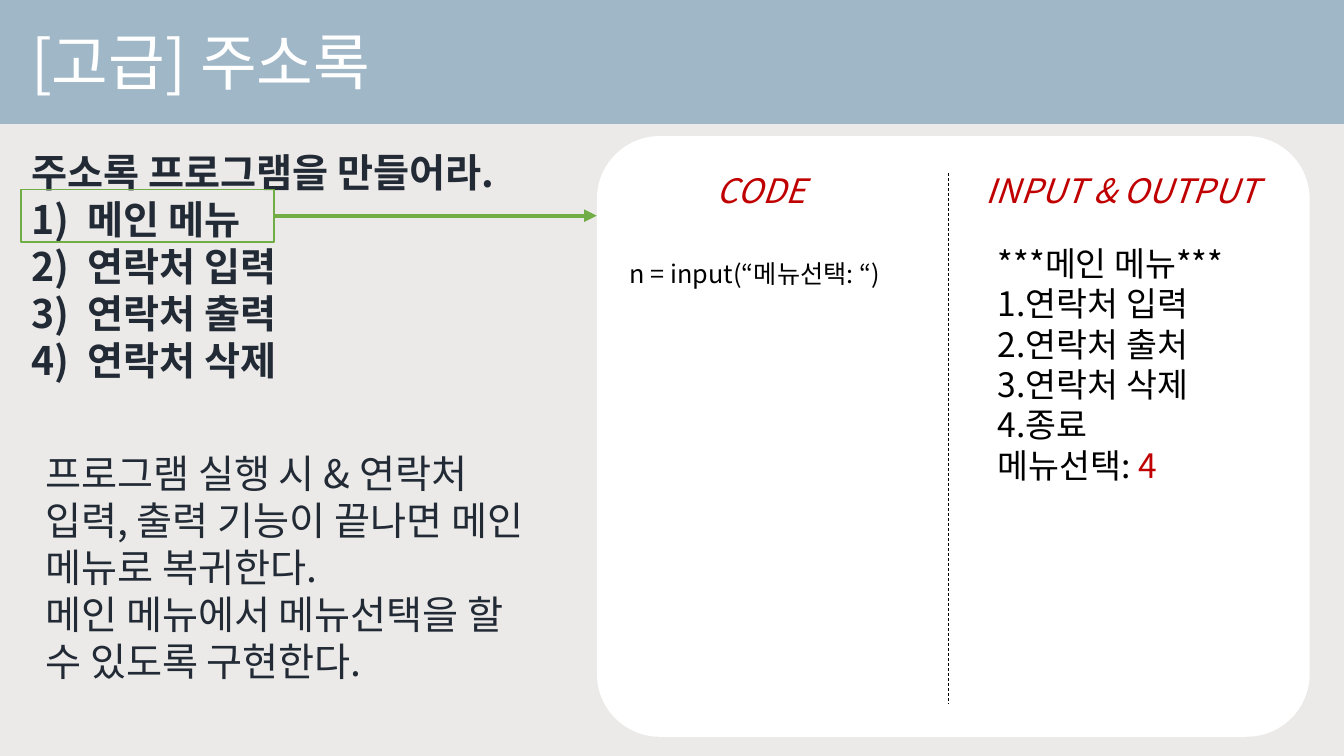
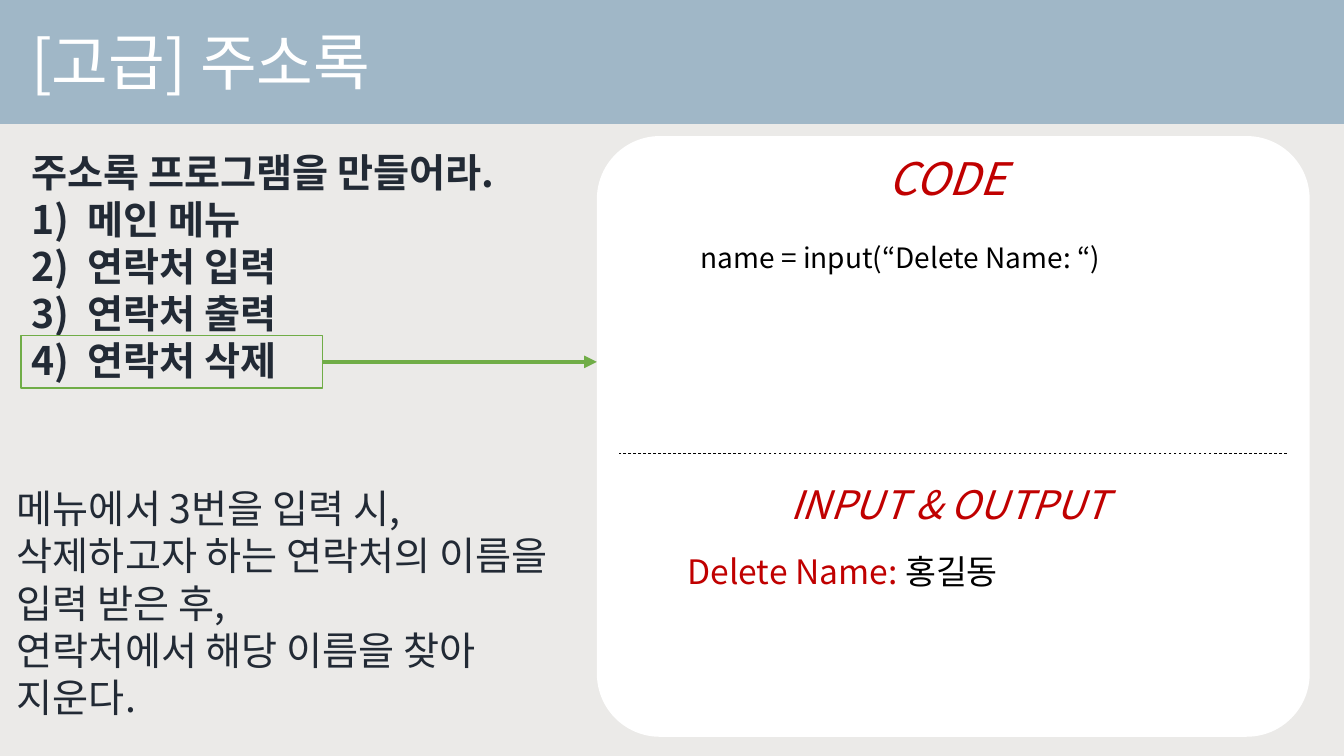
"""Build two slides of an address book coding exercise."""
from dataclasses import dataclass

from lxml import etree
from pptx import Presentation
from pptx.dml.color import RGBColor
from pptx.enum import dml, shapes, text
from pptx.oxml import ns
from pptx.util import Inches, Pt

FONT = "Noto Sans CJK KR"
HUES = {
    "back": "EBEAE8",
    "band": "A0B7C7",
    "white": "FFFFFF",
    "ink": "222A35",
    "black": "000000",
    "red": "C00000",
    "green": "70AD47",
}
PANEL = (5.92, 1.35, 7.07, 5.96)


@dataclass(frozen=True)
class Run:
    text: str
    hue: str


@dataclass(frozen=True)
class Para:
    runs: tuple[Run, ...]
    num: str = ""
    hang: float = 0


@dataclass(frozen=True)
class Note:
    at: tuple[float, float, float, float]
    paras: tuple[Para, ...]
    size: int
    bold: bool = False
    slant: bool = False
    wrap: bool = True
    space: float | None = None


@dataclass(frozen=True)
class Page:
    mark: tuple[float, float, float, float]
    split: tuple[float, float, float, float]
    notes: tuple[Note, ...]


def plain(hue: str, *lines: str) -> tuple[Para, ...]:
    """Make one single-colour paragraph of each line."""
    return tuple(Para((Run(line, hue),)) for line in lines)


def count(hue: str, num: str, hang: float, *lines: str) -> tuple[Para, ...]:
    """Make a numbered paragraph of each line."""
    return tuple(Para((Run(line, hue),), num, hang) for line in lines)


TITLE = Note((0.21, 0.19, 7.74, 0.84), plain("white", "[고급] 주소록"), 44)
TASK = Note(
    (0.21, 1.42, 5.29, 2.46),
    plain("ink", "주소록 프로그램을 만들어라.")
    + count("ink", "arabicParenR", 0.56,
            "메인 메뉴", "연락처 입력", "연락처 출력", "연락처 삭제"),
    28, bold=True, wrap=False,
)
PAGES = (
    Page(
        (0.21, 1.88, 2.51, 0.52),
        (9.41, 1.72, 9.41, 6.98),
        (
            Note((0.35, 4.41, 5.02, 2.46), plain(
                "ink",
                "프로그램 실행 시 & 연락처 입력, 출력 기능이 끝나면 메인 메뉴로 복귀한다.",
                "메인 메뉴에서 메뉴선택을 할 수 있도록 구현한다.",
            ), 28),
            Note((6.15, 2.36, 3.03, 0.5),
                 plain("black", "n = input(“메뉴선택: “)"), 18, space=1.5),
            Note(
                (9.8, 2.36, 2.53, 2.52),
                plain("black", "***메인 메뉴***")
                + count("black", "arabicPeriod", 0.25,
                        "연락처 입력", "연락처 출처", "연락처 삭제", "종료")
                + (Para((Run("메뉴선택: ", "black"), Run("4", "red"))),),
                24,
            ),
            Note((7.01, 1.64, 1.09, 0.5), plain("red", "CODE"), 24,
                 slant=True, wrap=False),
            Note((9.68, 1.64, 2.96, 0.5), plain("red", "INPUT & OUTPUT"), 24,
                 slant=True, wrap=False),
        ),
    ),
    Page(
        (0.21, 3.33, 2.99, 0.52),
        (12.76, 4.5, 6.14, 4.5),
        (
            Note((6.85, 2.17, 5.21, 0.54),
                 plain("black", "name = input(“Delete Name: “)"), 20, space=1.5),
            Note((6.72, 5.42, 3.41, 0.5),
                 (Para((Run("Delete Name: ", "red"), Run("홍길동", "black"))),),
                 24, wrap=False),
            Note((0.07, 4.76, 5.75, 2.46), plain(
                "ink",
                "메뉴에서 3번을 입력 시,",
                "삭제하고자 하는 연락처의 이름을 입력 받은 후,",
                "연락처에서 해당 이름을 찾아 지운다.",
            ), 28),
            Note((8.71, 1.45, 1.66, 0.64), plain("red", "CODE"), 32, slant=True),
            Note((7.74, 4.72, 3.41, 0.57), plain("red", "INPUT & OUTPUT"), 28,
                 slant=True, wrap=False),
        ),
    ),
)


def tint(name: str) -> RGBColor:
    """Look up a colour."""
    return RGBColor.from_string(HUES[name])


def write(slide, note: Note) -> None:
    """Draw a text box."""
    frame = slide.shapes.add_textbox(*map(Inches, note.at)).text_frame
    frame.word_wrap = note.wrap
    frame.auto_size = text.MSO_AUTO_SIZE.SHAPE_TO_FIT_TEXT
    for i, para in enumerate(note.paras):
        line = frame.paragraphs[0] if i == 0 else frame.add_paragraph()
        props = line._p.get_or_add_pPr()
        if para.num:
            props.set("marL", str(Inches(para.hang)))
            props.set("indent", str(-Inches(para.hang)))
            etree.SubElement(props, ns.qn("a:buAutoNum"), type=para.num)
        if note.space:
            line.line_spacing = note.space
        font = line.font
        font.name, font.size = FONT, Pt(note.size)
        font.bold, font.italic = note.bold, note.slant
        font.color.rgb = tint(para.runs[0].hue)
        base = props.find(ns.qn("a:defRPr"))
        etree.SubElement(base, ns.qn("a:ea"), typeface=FONT)
        for part in para.runs:
            run = line.add_run()
            run.text = part.text
            if part.hue != para.runs[0].hue:
                run.font.color.rgb = tint(part.hue)


def block(slide, kind, at: tuple[float, ...], fill: str = "", edge: str = ""):
    """Draw a preset shape."""
    shape = slide.shapes.add_shape(kind, *map(Inches, at))
    shape.shadow.inherit = False
    if fill:
        shape.fill.solid()
        shape.fill.fore_color.rgb = tint(fill)
    else:
        shape.fill.background()
    if edge:
        shape.line.color.rgb = tint(edge)
        shape.line.width = Pt(1)
    else:
        shape.line.fill.background()
    return shape


def link(slide, ends: tuple[float, ...], hue: str, width: float):
    """Draw a straight connector."""
    line = slide.shapes.add_connector(
        shapes.MSO_CONNECTOR.STRAIGHT, *map(Inches, ends))
    line.line.color.rgb = tint(hue)
    line.line.width = Pt(width)
    etree.SubElement(line._element.spPr, ns.qn("a:effectLst"))
    return line


def build(deck, page: Page) -> None:
    """Draw one slide."""
    slide = deck.slides.add_slide(deck.slide_layouts[6])
    slide.background.fill.solid()
    slide.background.fill.fore_color.rgb = tint("back")
    rect = shapes.MSO_SHAPE.RECTANGLE
    block(slide, rect, (0, 0, 13.33, 1.23), "band")
    write(slide, TITLE)
    write(slide, TASK)
    mark = block(slide, rect, page.mark, edge="green")
    left, top, width, height = page.mark
    mid = top + height / 2
    arrow = link(slide, (left + width, mid, PANEL[0], mid), "green", 3)
    arrow.begin_connect(mark, 3)
    etree.SubElement(arrow.line._get_or_add_ln(), ns.qn("a:tailEnd"),
                     type="triangle")
    panel = block(slide, shapes.MSO_SHAPE.ROUNDED_RECTANGLE, PANEL, "white")
    panel.adjustments[0] = 0.105
    split = link(slide, page.split, "black", 0.5)
    split.line.dash_style = dml.MSO_LINE.DASH
    for note in page.notes:
        write(slide, note)


def main() -> None:
    """Build and save the slides."""
    deck = Presentation()
    deck.slide_width, deck.slide_height = Inches(13.33), Inches(7.5)
    for page in PAGES:
        build(deck, page)
    deck.save("out.pptx")


if __name__ == "__main__":
    main()
